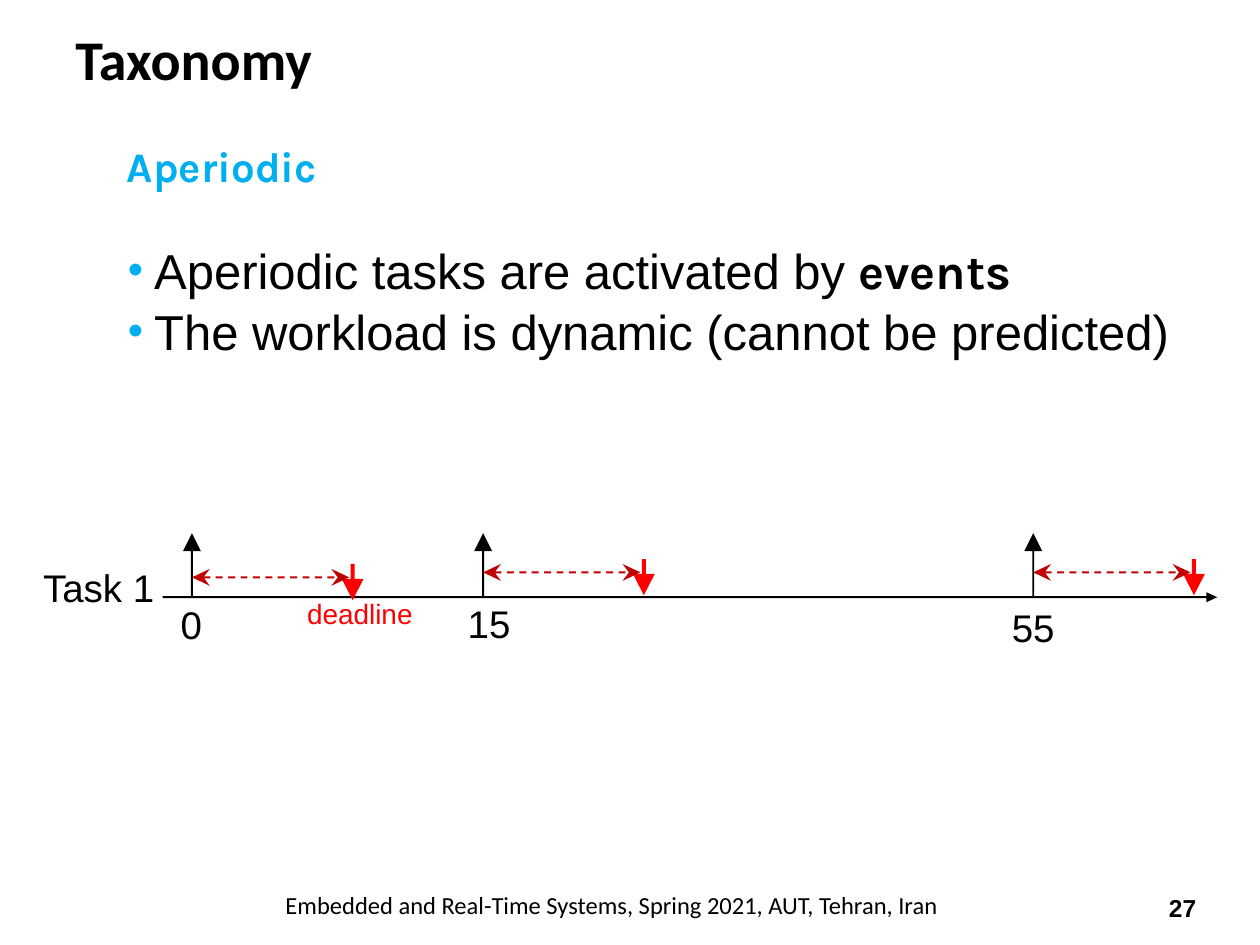
from dataclasses import dataclass

from lxml import etree
from pptx import Presentation
from pptx.dml.color import RGBColor
from pptx.enum.text import MSO_ANCHOR, PP_ALIGN
from pptx.oxml.ns import qn
from pptx.util import Cm, Pt

LEFT, CENTER = PP_ALIGN.LEFT, PP_ALIGN.CENTER
TOP, MIDDLE = MSO_ANCHOR.TOP, MSO_ANCHOR.MIDDLE

COLORS = {"black": "000000", "blue": "00AFEF", "red": "FF0000", "dark": "C00000"}

# Timeline measures in cm
AXIS_Y, AXIS_X0, AXIS_X1 = 12.04, 3.28, 24.54
TICK_Y = 10.75
SPAN, DUE_GAP, DUE_LEN, SPAN_DROP = 3.17, 3.24, 0.73, 0.27
BARB, WING, NOTCH = 0.36, 0.17, 0.23
DASHES, DASH_LEN, DASH_STEP, DASH_HALF = 11, 0.14, 0.25, 0.02

Point = tuple[float, float]


@dataclass
class Run:
    text: str
    size: float
    font: str = "Arial"
    color: str = "black"
    bold: bool = False


@dataclass
class Label:
    run: Run
    box: tuple[float, float, float, float]
    inset: tuple[float, float, float, float] = (0.03, 0.03, 0, 0)
    align: PP_ALIGN = LEFT
    anchor: MSO_ANCHOR = TOP
    rtl: bool = False


@dataclass
class Job:
    """One release of the task: its place and the top of its deadline arrow."""
    x: float
    due_y: float


@dataclass
class Pen:
    """A solid arrow: half widths of stem and head, and length of the head."""
    color: str
    stem: float
    wing: float
    tip: float


AXIS = Pen("black", 0.02, 0.1, 0.22)
TICK = Pen("black", 0.02, 0.18, 0.36)
DUE = Pen("red", 0.04, 0.22, 0.43)

PLAIN = (0.25, 0.13, 0.25, 0.13)
LABELS = [
    Label(Run("Taxonomy", 32, "Calibri", bold=True), (1.27, 0, 22.86, 2.34),
          PLAIN, anchor=MIDDLE),
    Label(Run("27", 14, "Calibri", bold=True), (23.09, 17.78, 1.5, 1.02),
          (0, 0, 0, 0), CENTER, MIDDLE, True),
    Label(Run("Embedded and Real-Time Systems, Spring 2021, AUT, Tehran, Iran",
              14, "Calibri"), (2.74, 17.81, 19.05, 0.86),
          (0.39, 0.13, 0.25, 0.13), CENTER),
    Label(Run("Task 1", 22), (0.84, 11.34, 2.44, 0.97)),
    Label(Run("deadline", 16, color="red"), (6.16, 11.99, 2.51, 0.71)),
    Label(Run("15", 22), (9.4, 12.07, 1.57, 0.97)),
    Label(Run("0", 22), (3.61, 12.09, 0.5, 0.97)),
    Label(Run("55", 22), (20.37, 12.14, 1.22, 0.97)),
]

HEAD = Run("Aperiodic", 24, "Karla", "blue", True)
POINTS = [
    (28, [Run("Aperiodic tasks are activated by ", 28),
          Run("events", 28, "Karla", bold=True)]),
    (1.1, [Run("The workload is dynamic (cannot be predicted)", 28)]),
]

JOBS = [Job(3.87, 11.37), Job(9.74, 11.27), Job(20.83, 11.27)]


def add_run(para, run: Run) -> None:
    part = para.add_run()
    part.text = run.text
    look = {"size": Pt(run.size), "name": run.font, "bold": run.bold}
    for key, value in look.items():
        setattr(part.font, key, value)
    part.font.color.rgb = RGBColor.from_string(COLORS[run.color])
    etree.SubElement(part._r.get_or_add_rPr(), qn("a:cs"), typeface="Arial")


def add_box(slide, box, inset, anchor=TOP):
    frame = slide.shapes.add_textbox(*map(Cm, box)).text_frame
    left, top, right, bottom = map(Cm, inset)
    look = {"word_wrap": True, "vertical_anchor": anchor,
            "margin_left": left, "margin_top": top,
            "margin_right": right, "margin_bottom": bottom}
    for key, value in look.items():
        setattr(frame, key, value)
    return frame


def add_label(slide, label: Label) -> None:
    para = add_box(slide, label.box, label.inset, label.anchor).paragraphs[0]
    para.alignment = label.align
    if label.rtl:
        para._p.get_or_add_pPr().set("rtl", "1")
    add_run(para, label.run)


def add_bullet(para) -> None:
    props = para._p.get_or_add_pPr()
    props.set("marL", str(Cm(0.55)))
    props.set("indent", str(-Cm(0.53)))
    tint = etree.SubElement(props, qn("a:buClr"))
    etree.SubElement(tint, qn("a:srgbClr"), val=COLORS["blue"])
    etree.SubElement(props, qn("a:buSzPct"), val="89000")
    etree.SubElement(props, qn("a:buFont"), typeface="Arial")
    etree.SubElement(props, qn("a:buChar"), char="•")


def add_body(slide) -> None:
    frame = add_box(slide, (2.51, 2.34, 21.62, 4.95), (0.05, 0.5, 0, 0))
    add_run(frame.paragraphs[0], HEAD)
    for gap, runs in POINTS:
        para = frame.add_paragraph()
        add_bullet(para)
        para.space_before = Pt(gap)
        for run in runs:
            add_run(para, run)


def add_outline(slide, rings: list[list[Point]], color: str) -> None:
    """Draw closed rings of points as one filled shape."""
    rings = [[(Cm(x), Cm(y)) for x, y in ring] for ring in rings]
    pen = slide.shapes.build_freeform(*rings[0][0])
    for i, ring in enumerate(rings):
        if i:
            pen.move_to(*ring[0])
        pen.add_line_segments(ring[1:])
    shape = pen.convert_to_shape()
    shape.shadow.inherit = False
    shape.fill.solid()
    shape.fill.fore_color.rgb = RGBColor.from_string(COLORS[color])
    shape.line.fill.background()


def add_arrow(slide, start: Point, end: Point, pen: Pen) -> None:
    """Draw an upright or level arrow from start to end."""
    (x0, y0), (x1, y1) = start, end
    size = abs(x1 - x0) + abs(y1 - y0)
    dx, dy = (x1 - x0) / size, (y1 - y0) / size
    neck = size - pen.tip
    marks = [(0, pen.stem), (neck, pen.stem), (neck, pen.wing), (size, 0),
             (neck, -pen.wing), (neck, -pen.stem), (0, -pen.stem)]
    ring = [(x0 + a * dx - b * dy, y0 + a * dy + b * dx) for a, b in marks]
    add_outline(slide, [ring], pen.color)


def add_range(slide, x: float, y: float) -> None:
    """Draw a dashed line with a barbed head at both ends."""
    barb = [(0, 0), (BARB, -WING), (NOTCH, 0), (BARB, WING)]
    rings = [[(x + a, y + b) for a, b in barb],
             [(x + SPAN - a, y + b) for a, b in barb]]
    for i in range(DASHES):
        left = x + NOTCH + i * DASH_STEP
        right = left + DASH_LEN
        rings.append([(left, y - DASH_HALF), (right, y - DASH_HALF),
                      (right, y + DASH_HALF), (left, y + DASH_HALF)])
    add_outline(slide, rings, "dark")


def add_job(slide, job: Job) -> None:
    due_x = job.x + DUE_GAP
    add_arrow(slide, (job.x, AXIS_Y), (job.x, TICK_Y), TICK)
    add_arrow(slide, (due_x, job.due_y), (due_x, job.due_y + DUE_LEN), DUE)
    add_range(slide, job.x, job.due_y + SPAN_DROP)


def main() -> None:
    deck = Presentation()
    deck.slide_width, deck.slide_height = Cm(25.4), Cm(19.05)
    slide = deck.slides.add_slide(deck.slide_layouts[6])

    # Heading and bullet points
    add_body(slide)

    # Timeline with its releases and deadlines
    add_arrow(slide, (AXIS_X0, AXIS_Y), (AXIS_X1, AXIS_Y), AXIS)
    for job in JOBS:
        add_job(slide, job)

    # Title, footer and timeline labels
    for label in LABELS:
        add_label(slide, label)

    deck.save("out.pptx")


if __name__ == "__main__":
    main()
